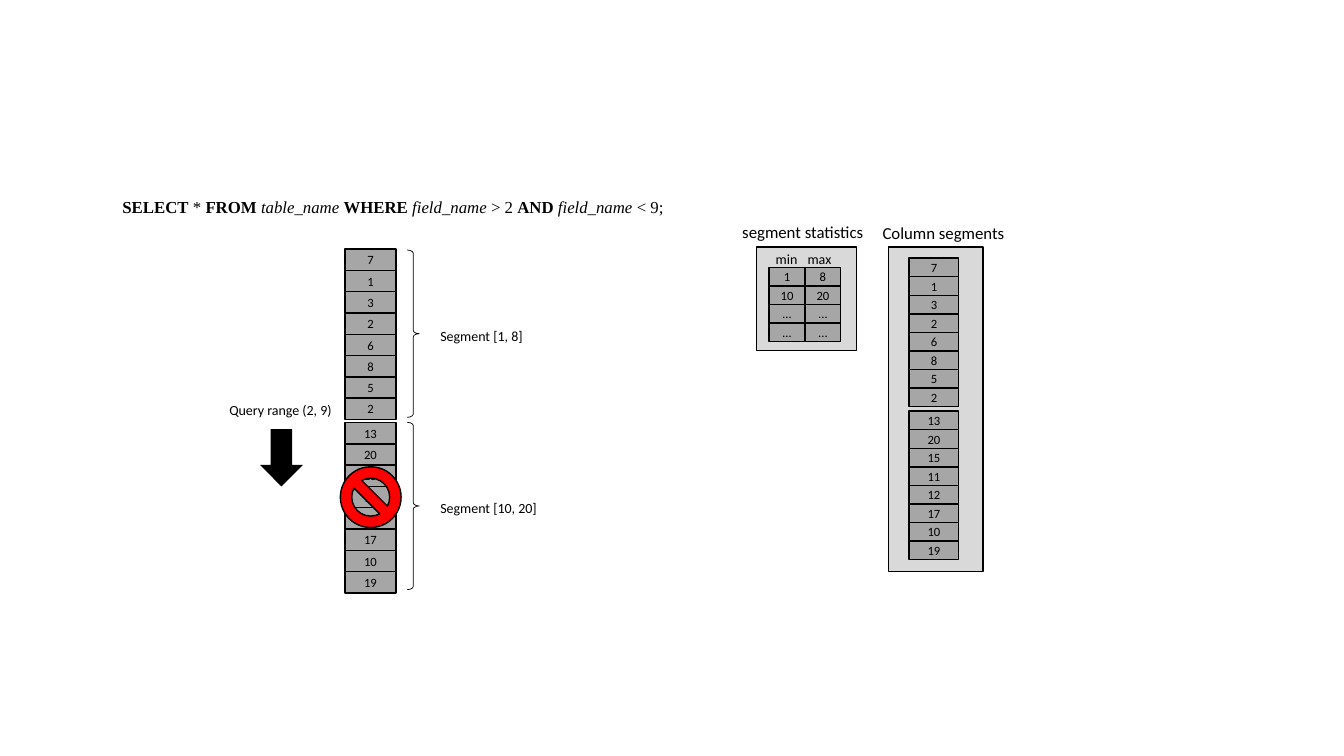
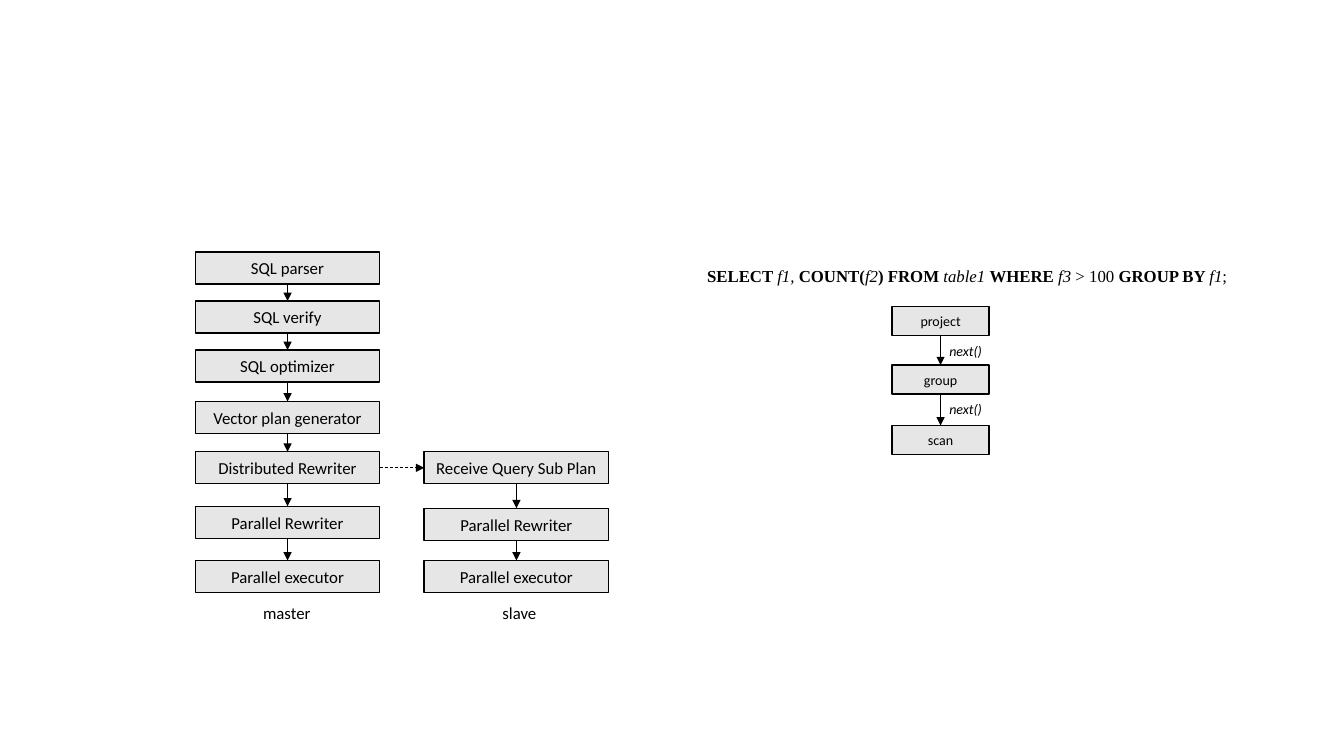
from lxml import etree
from pptx import Presentation
from pptx.dml.color import RGBColor
from pptx.enum.dml import MSO_LINE
from pptx.enum.shapes import MSO_CONNECTOR, MSO_SHAPE
from pptx.enum.text import MSO_ANCHOR, PP_ALIGN
from pptx.oxml.ns import qn
from pptx.util import Pt

RECTANGLE = MSO_SHAPE.RECTANGLE
DOWN_ARROW = MSO_SHAPE.DOWN_ARROW
NO_SYMBOL = MSO_SHAPE.NO_SYMBOL
RIGHT_BRACE = MSO_SHAPE.RIGHT_BRACE
STRAIGHT = MSO_CONNECTOR.STRAIGHT
DASH = MSO_LINE.DASH
MIDDLE = MSO_ANCHOR.MIDDLE
CENTER = PP_ALIGN.CENTER
TOP, LEFT, BOTTOM, RIGHT = range(4)

COLORS = {
    "ink": "000000",
    "cell": "A6A6A6",
    "panel": "D9D9D9",
    "step": "E7E6E6",
    "stop": "FF0000",
}
SANS = "Calibri"
SERIF = "Times New Roman"


def add_runs(paragraph, runs, size, font=SANS):
    for text, style in runs:
        run = paragraph.add_run()
        run.text = text
        run.font.name = font
        run.font.size = Pt(size)
        run.font.bold = style == "bold"
        run.font.italic = style == "italic"
        run.font.color.rgb = RGBColor.from_string(COLORS["ink"])


def add_box(shapes, kind, bounds, color, label=None, size=9, outline=1):
    shape = shapes.add_shape(kind, *[Pt(value) for value in bounds])
    shape.shadow.inherit = False
    if color:
        shape.fill.solid()
        shape.fill.fore_color.rgb = RGBColor.from_string(COLORS[color])
    else:
        shape.fill.background()
    if outline:
        shape.line.width = Pt(outline)
        shape.line.color.rgb = RGBColor.from_string(COLORS["ink"])
    else:
        shape.line.fill.background()
    if label:
        frame = shape.text_frame
        frame.margin_left = frame.margin_right = 0
        frame.margin_top = frame.margin_bottom = 0
        frame.vertical_anchor = MIDDLE
        frame.paragraphs[0].alignment = CENTER
        add_runs(frame.paragraphs[0], [(label, "")], size)
    return shape


presentation = Presentation()
presentation.slide_width = Pt(960)
presentation.slide_height = Pt(540)
blank_layout = presentation.slide_layouts[6]
segment_slide = presentation.slides.add_slide(blank_layout)
plan_slide = presentation.slides.add_slide(blank_layout)

segments = [
    ["7", "1", "3", "2", "6", "8", "5", "2"],
    ["13", "20", "15", "11", "12", "17", "10", "19"],
]
statistics = [["1", "10", "…", "…"], ["8", "20", "…", "..."]]

column_group = segment_slide.shapes.add_group_shape().shapes
statistics_group = segment_slide.shapes.add_group_shape().shapes
add_box(column_group, RECTANGLE, (634.5, 176.4, 67.8, 231.8), "panel")
add_box(statistics_group, RECTANGLE, (540.5, 176.4, 71.5, 74.2), "panel")

cell_stacks = [
    (segment_slide.shapes, 246.4, 177.9, 36.5, 15.22, segments[0]),
    (segment_slide.shapes, 246.4, 301.8, 36.5, 15.22, segments[1]),
    (column_group, 649.4, 184.4, 35.5, 13.25, segments[0]),
    (column_group, 649.4, 293.7, 35.5, 13.25, segments[1]),
    (statistics_group, 549.4, 191, 25.6, 13.25, statistics[0]),
    (statistics_group, 575, 191, 25.6, 13.25, statistics[1]),
]
for shapes, left, top, width, height, values in cell_stacks:
    for row, value in enumerate(values):
        bounds = (left, top + row * height, width, height)
        add_box(shapes, RECTANGLE, bounds, "cell", value)

for top in (178.6, 301.7):
    brace = add_box(segment_slide.shapes, RIGHT_BRACE, (290.9, top, 8.6, 119.5), None, outline=0.5)
    brace.adjustments[0] = 0.27

add_box(segment_slide.shapes, DOWN_ARROW, (185.7, 306.5, 30.7, 41), "ink", outline=0)
add_box(segment_slide.shapes, NO_SYMBOL, (243.1, 333.4, 43.4, 43.4), "stop")

flows = [
    (139.5, 131.8, 22.9, 12, [
        ("SQL parser", 180), ("SQL verify", 215), ("SQL optimizer", 250),
        ("Vector plan generator", 286.8), ("Distributed Rewriter", 322.7),
        ("Parallel Rewriter", 361.7), ("Parallel executor", 400.4)]),
    (303, 131.8, 22.9, 12, [
        ("Receive Query Sub Plan", 322.7), ("Parallel Rewriter", 363.1),
        ("Parallel executor", 400.4)]),
    (637.2, 69.3, 20.8, 10, [("project", 219), ("group", 260.8), ("scan", 304)]),
]
steps = {}
links = []
for flow_index, (left, width, height, size, entries) in enumerate(flows):
    for row, (label, top) in enumerate(entries):
        steps[flow_index, row] = add_box(
            plan_slide.shapes, RECTANGLE, (left, top, width, height), "step", label, size)
        if row:
            links.append(((flow_index, row - 1), BOTTOM, (flow_index, row), TOP))
links.append(((0, 4), RIGHT, (1, 0), LEFT))

for start, start_side, end, end_side in links:
    connector = plan_slide.shapes.add_connector(STRAIGHT, 0, 0, 0, 0)
    connector.begin_connect(steps[start], start_side)
    connector.end_connect(steps[end], end_side)
    connector.line.width = Pt(0.5)
    connector.line.color.rgb = RGBColor.from_string(COLORS["ink"])
    if start_side == RIGHT:
        connector.line.dash_style = DASH
    properties = connector.element.spPr
    etree.SubElement(properties.find(qn("a:ln")), qn("a:tailEnd"), type="triangle")
    etree.SubElement(properties, qn("a:effectLst"))

range_query = [
    ("SELECT", "bold"), (" * ", ""), ("FROM ", "bold"), ("table_name ", "italic"),
    ("WHERE ", "bold"), ("field_name ", "italic"), ("> 2 ", ""), ("AND ", "bold"),
    ("field_name ", "italic"), ("< 9;", ""),
]
group_query = [
    ("SELECT ", "bold"), ("f1, ", "italic"), ("COUNT(", "bold"), ("f2", "italic"),
    (") FROM ", "bold"), ("table1 ", "italic"), ("WHERE ", "bold"), ("f3 ", "italic"),
    ("> 100 ", ""), ("GROUP BY ", "bold"), ("f1", "italic"), (";", ""),
]
texts = [
    (segment_slide.shapes, 80.4, 136.9, 401, range_query, 12, SERIF),
    (segment_slide.shapes, 307.4, 230.6, 74, [("Segment [1, 8]", "")], 10, SANS),
    (segment_slide.shapes, 307.4, 353, 84, [("Segment [10, 20]", "")], 10, SANS),
    (segment_slide.shapes, 156.7, 283.1, 88, [("Query range (2, 9)", "")], 10, SANS),
    (statistics_group, 547, 175.5, 30.4, [("min", "")], 10, SANS),
    (statistics_group, 569.8, 175.5, 31.8, [("max", "")], 10, SANS),
    (segment_slide.shapes, 523.1, 155.1, 102, [("segment statistics", "")], 12, SANS),
    (segment_slide.shapes, 623.3, 155.5, 103, [("Column segments", "")], 12, SANS),
    (plan_slide.shapes, 498, 186.5, 386, group_query, 12, SERIF),
    (plan_slide.shapes, 671, 240.8, 39, [("next()", "italic")], 10, SANS),
    (plan_slide.shapes, 671, 282.9, 39, [("next()", "italic")], 10, SANS),
    (plan_slide.shapes, 180.8, 427.3, 49, [("master", "")], 12, SANS),
    (plan_slide.shapes, 351.8, 427.3, 39, [("slave", "")], 12, SANS),
]
for shapes, left, top, width, runs, size, font in texts:
    height = 21.8 if size == 12 else 19.4
    textbox = shapes.add_textbox(Pt(left), Pt(top), Pt(width), Pt(height))
    textbox.text_frame.word_wrap = False
    add_runs(textbox.text_frame.paragraphs[0], runs, size, font)

presentation.save("out.pptx")
